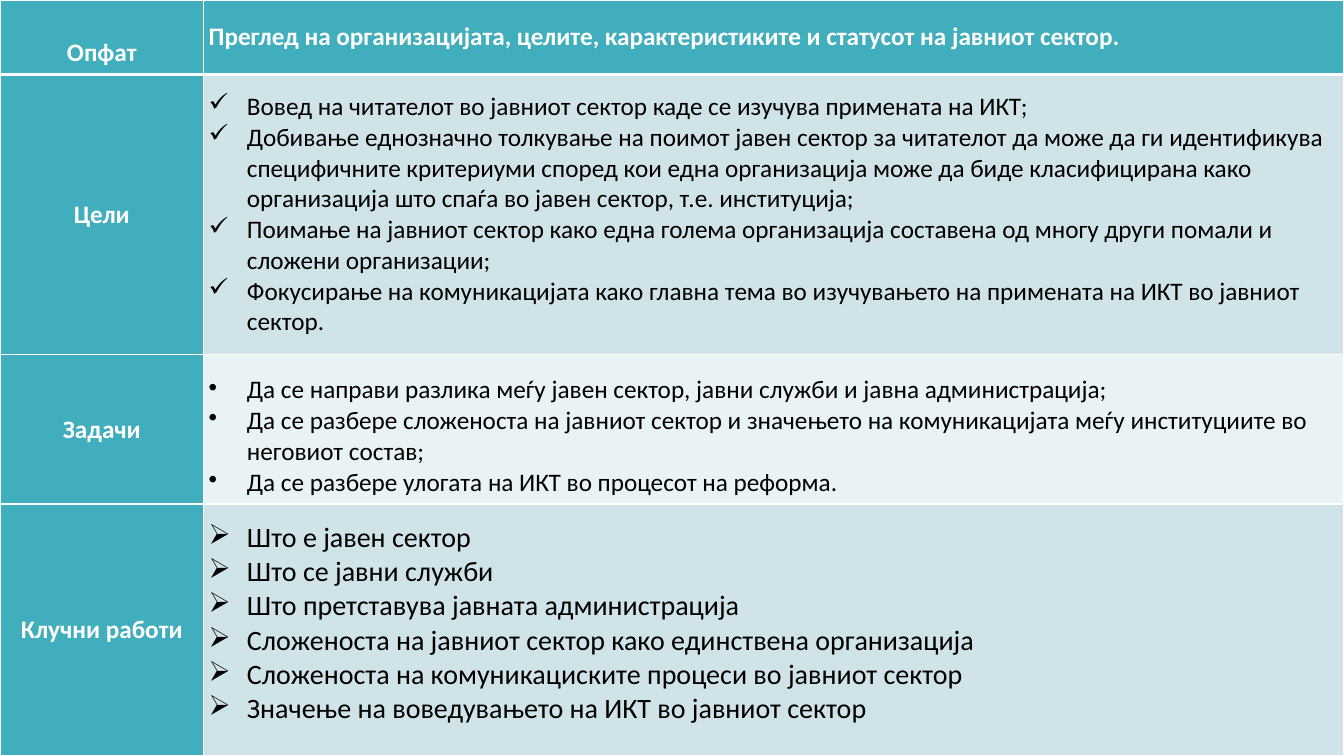
"""Build a slide with a table on the scope, goals, tasks and key points of the public sector."""
from dataclasses import dataclass

from lxml import etree
from pptx import Presentation
from pptx.dml.color import RGBColor
from pptx.enum.text import MSO_ANCHOR, PP_ALIGN
from pptx.oxml.ns import qn
from pptx.util import Inches, Pt

MIDDLE = MSO_ANCHOR.MIDDLE
CENTER, LEFT = PP_ALIGN.CENTER, PP_ALIGN.LEFT


@dataclass(frozen=True)
class Theme:
    font: str = "Calibri"
    backdrop: str = "000000"
    teal: str = "41AEBD"
    band_dark: str = "CFE3E8"
    band_light: str = "E9F2F4"
    white: str = "FFFFFF"
    black: str = "000000"
    body_size: int = 18
    key_size: int = 20
    thin: int = 1
    thick: int = 3


THEME = Theme()
COLUMN_WIDTHS = [2.02, 11.31]
HANGING = 0.38
SECTIONS = [
    {
        "label": "Опфат", "label_top": 0.3, "height": 0.74, "band": THEME.teal,
        "ink": THEME.white, "bold": True, "size": THEME.body_size,
        "bullet": None, "top": 0, "bottom": 0,
        "lines": ["Преглед на организацијата, целите, карактеристиките и статусот на јавниот сектор."],
    },
    {
        "label": "Цели", "label_top": 0, "height": 2.78, "band": THEME.band_dark,
        "ink": THEME.black, "bold": False, "size": THEME.body_size,
        "bullet": "✓", "top": 0.14, "bottom": 0.14,
        "lines": [
            "Вовед на читателот во јавниот сектор каде се изучува примената на ИКТ;",
            "Добивање еднозначно толкување на поимот јавен сектор за читателот да може да ги "
            "идентификува специфичните критериуми според кои една организација може да биде "
            "класифицирана како организација што спаѓа во јавен сектор, т.е. институција;",
            "Поимање на јавниот сектор како една голема организација составена од многу други "
            "помали и сложени организации;",
            "Фокусирање на комуникацијата како главна тема во изучувањето на примената на ИКТ "
            "во јавниот сектор.",
        ],
    },
    {
        "label": "Задачи", "label_top": 0, "height": 1.48, "band": THEME.band_light,
        "ink": THEME.black, "bold": False, "size": THEME.body_size,
        "bullet": "•", "top": 0.14, "bottom": 0,
        "lines": [
            "Да се направи разлика меѓу јавен сектор, јавни служби и јавна администрација;",
            "Да се разбере сложеноста на јавниот сектор и значењето на комуникацијата меѓу "
            "институциите во неговиот состав;",
            "Да се разбере улогата на ИКТ во процесот на реформа.",
        ],
    },
    {
        "label": "Клучни работи", "label_top": 0, "height": 2.5, "band": THEME.band_dark,
        "ink": THEME.black, "bold": False, "size": THEME.key_size,
        "bullet": "➢", "top": 0.14, "bottom": 0.27,
        "lines": [
            "Што е јавен сектор",
            "Што се јавни служби",
            "Што претставува јавната администрација",
            "Сложеноста на јавниот сектор како единствена организација",
            "Сложеноста на комуникациските процеси во јавниот сектор",
            "Значење на воведувањето на ИКТ во јавниот сектор",
        ],
    },
]


def style_cell(cell, fill, top, bottom, borders):
    """Set the margins, borders and fill of a cell."""
    layout = {
        "vertical_anchor": MIDDLE,
        "margin_left": Inches(0.05), "margin_right": Inches(0.05),
        "margin_top": Inches(top), "margin_bottom": Inches(bottom),
    }
    for attribute, value in layout.items():
        setattr(cell, attribute, value)
    properties = cell._tc.get_or_add_tcPr()
    for side, width in borders.items():
        border = etree.SubElement(properties, qn(f"a:ln{side}"), w=str(Pt(width)))
        paint = etree.SubElement(border, qn("a:solidFill"))
        etree.SubElement(paint, qn("a:srgbClr"), val=THEME.white)
    cell.fill.solid()
    cell.fill.fore_color.rgb = RGBColor.from_string(fill)


def write_lines(cell, lines, alignment, size, ink, bold, bullet=None):
    """Write one paragraph per line, with an optional hanging bullet."""
    frame = cell.text_frame
    for index, line in enumerate(lines):
        paragraph = frame.add_paragraph() if index else frame.paragraphs[0]
        paragraph.alignment = alignment
        if bullet:
            properties = paragraph._p.get_or_add_pPr()
            properties.set("marL", str(Inches(HANGING)))
            properties.set("indent", str(-Inches(HANGING)))
            etree.SubElement(properties, qn("a:buChar"), char=bullet)
        run = paragraph.add_run()
        run.text = line
        for attribute, value in {"name": THEME.font, "size": Pt(size), "bold": bold}.items():
            setattr(run.font, attribute, value)
        run.font.color.rgb = RGBColor.from_string(ink)


presentation = Presentation()
presentation.slide_width = Inches(13.33)
presentation.slide_height = Inches(7.5)
slide = presentation.slides.add_slide(presentation.slide_layouts[6])
slide.background.fill.solid()
slide.background.fill.fore_color.rgb = RGBColor.from_string(THEME.backdrop)

overview = slide.shapes.add_table(
    len(SECTIONS), len(COLUMN_WIDTHS), 0, 0, Inches(13.33), Inches(7.5)
).table
for column, width in zip(overview.columns, COLUMN_WIDTHS):
    column.width = Inches(width)

for index, section in enumerate(SECTIONS):
    overview.rows[index].height = Inches(section["height"])
    borders = {
        "L": THEME.thin,
        "R": THEME.thin,
        "T": THEME.thick if index == 1 else THEME.thin,
        "B": THEME.thick if index == 0 else THEME.thin,
    }
    label_cell, detail_cell = overview.cell(index, 0), overview.cell(index, 1)
    style_cell(label_cell, THEME.teal, section["label_top"], 0, borders)
    write_lines(label_cell, [section["label"]], CENTER, THEME.body_size, THEME.white, True)
    style_cell(detail_cell, section["band"], section["top"], section["bottom"], borders)
    write_lines(detail_cell, section["lines"], LEFT, section["size"], section["ink"],
                section["bold"], section["bullet"])

presentation.save("out.pptx")
